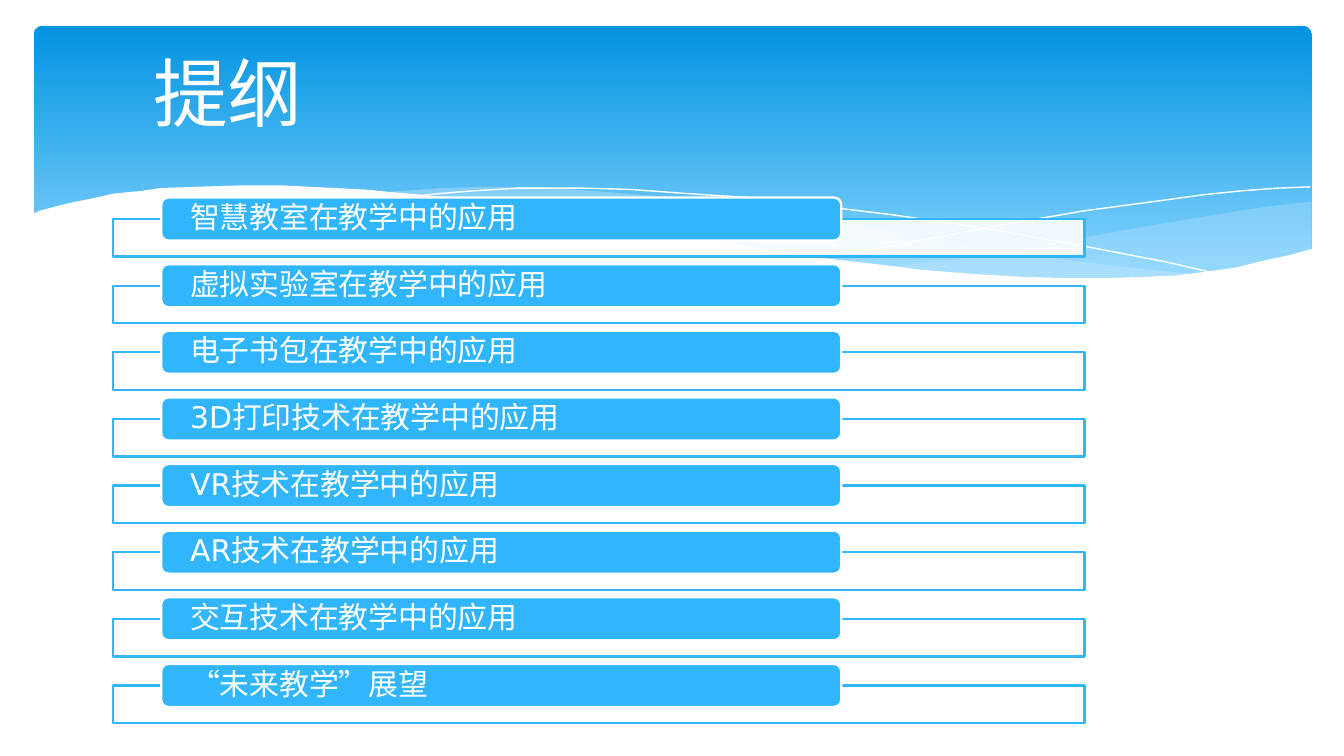
"""Build the outline slide with a wave banner and eight topic bars."""
from lxml.etree import SubElement
from pptx import Presentation
from pptx.dml.color import RGBColor
from pptx.enum.shapes import MSO_SHAPE
from pptx.enum.text import MSO_ANCHOR, PP_ALIGN
from pptx.oxml.ns import qn
from pptx.util import Inches, Pt

TITLE = "提纲"
TOPICS = [
    "智慧教室在教学中的应用",
    "虚拟实验室在教学中的应用",
    "电子书包在教学中的应用",
    "3D打印技术在教学中的应用",
    "VR技术在教学中的应用",
    "AR技术在教学中的应用",
    "交互技术在教学中的应用",
    "“未来教学”展望",
]
WHITE = RGBColor(0xFF, 0xFF, 0xFF)
BLUE = RGBColor(0x31, 0xB6, 0xFD)
DEEP = RGBColor(0x02, 0x93, 0xE0)
LIGHT = RGBColor(0x83, 0xD3, 0xFE)
PALE = RGBColor(0xC6, 0xE7, 0xFC)
LATIN, HAN = "DejaVu Sans", "Noto Sans CJK SC"
WIDE = 10
FIRST, PITCH = 1.47, 3.47 / 7

SWELL = [(9.76, 1.5), (9.48, 1.53), (9.21, 1.57), (8.91, 1.62), (8.61, 1.67),
         (8.05, 1.77), (7.53, 1.86), (7.06, 1.93), (6.61, 1.99), (6.91, 2.02),
         (7.32, 2.05), (7.69, 2.07), (8.03, 2.08), (8.35, 2.08), (8.72, 2.06),
         (9.05, 2.02), (9.35, 1.96), (9.63, 1.89), (9.76, 1.85)]
RIBBON = [(8.93, 2.04), (8.66, 2.02), (8.07, 1.95), (7.41, 1.86), (6.68, 1.73),
          (6.29, 1.66), (5.98, 1.61), (5.69, 1.56), (5.41, 1.52), (5.14, 1.48),
          (4.89, 1.46), (4.41, 1.42), (3.99, 1.39), (3.61, 1.39), (3.28, 1.4),
          (2.86, 1.43), (3.23, 1.47), (3.62, 1.52), (4.04, 1.58), (4.49, 1.66),
          (5.3, 1.8), (5.84, 1.89), (6.34, 1.96), (6.8, 2.01), (7.22, 2.05),
          (7.61, 2.08), (7.96, 2.09), (8.28, 2.09), (8.57, 2.08)]
FALL = [(3.09, 1.46), (3.28, 1.44), (3.53, 1.42), (3.87, 1.4), (4.33, 1.4),
        (4.69, 1.41), (5.1, 1.44), (5.56, 1.47), (6.08, 1.53), (6.65, 1.6),
        (7.27, 1.69), (7.95, 1.81), (8.68, 1.95), (9.07, 2.04)]
RISE = [(6.13, 1.92), (6.52, 1.85), (6.95, 1.77), (7.48, 1.67), (8.06, 1.57),
        (8.66, 1.49), (8.95, 1.45), (9.24, 1.42), (9.51, 1.4), (9.75, 1.39)]
SHORE = [(9.77, 1.85), (9.59, 1.9), (9.4, 1.94), (9.2, 1.99), (8.99, 2.02),
         (8.75, 2.05), (8.5, 2.06), (8.23, 2.07), (7.93, 2.07), (7.61, 2.06),
         (7.26, 2.04), (6.88, 2.01), (6.47, 1.96), (6.03, 1.91), (5.55, 1.83),
         (5.03, 1.75), (4.47, 1.65), (3.91, 1.55), (3.65, 1.51), (3.39, 1.48),
         (3.15, 1.45), (2.92, 1.43), (2.71, 1.41), (2.5, 1.4), (2.3, 1.39),
         (2.11, 1.38), (1.77, 1.38), (1.46, 1.39), (1.19, 1.4), (1.06, 1.42),
         (0.95, 1.43), (0.85, 1.44), (0.67, 1.48), (0.52, 1.51), (0.4, 1.54),
         (0.29, 1.57), (0.23, 1.6), (0.23, 2.47), (9.77, 2.47)]
WAVES = [(SWELL, PALE, 29, None), (RIBBON, PALE, 40, None),
         (FALL, None, 0, WHITE), (RISE, None, 0, WHITE),
         (SHORE, WHITE, 100, None)]


def paint(shape, fill, alpha=100, line=None, width=1.25):
    shape.shadow.inherit = False
    if fill is None:
        shape.fill.background()
    else:
        shape.fill.solid()
        shape.fill.fore_color.rgb = fill
        if alpha < 100:
            tint = shape.fill._xPr.find(".//" + qn("a:srgbClr"))
            SubElement(tint, qn("a:alpha"), val=str(alpha * 1000))
    if line is None:
        shape.line.fill.background()
    else:
        shape.line.color.rgb = line
        shape.line.width = Pt(width)


def block(kind, *box):
    return slide.shapes.add_shape(kind, *map(Inches, box))


def write(shape, text, size, font, left):
    frame = shape.text_frame
    frame.word_wrap = True
    frame.vertical_anchor = MSO_ANCHOR.MIDDLE
    frame.margin_left = Inches(left)
    frame.margin_top = frame.margin_bottom = 0
    frame.text = text
    para = frame.paragraphs[0]
    para.alignment = PP_ALIGN.LEFT
    run = para.runs[0]
    run.font.size = Pt(size)
    run.font.name = font
    run.font.color.rgb = WHITE
    props = run.font._element
    props.set("lang", "zh-CN")
    SubElement(props, qn("a:ea"), typeface=HAN)
    return para


deck = Presentation()
deck.slide_width, deck.slide_height = Inches(WIDE), Inches(WIDE * 9 / 16)
slide = deck.slides.add_slide(deck.slide_layouts[6])

sky = block(MSO_SHAPE.ROUNDED_RECTANGLE, 0.25, 0.19, 9.51, 2.02)
sky.adjustments[0] = 0.034
paint(sky, None)
sky.fill.gradient()
sky.fill.gradient_angle = 270
for stop, (place, color) in zip(sky.fill.gradient_stops, [(0, DEEP), (0.9, LIGHT)]):
    stop.position = place
    stop.color.rgb = color

for points, fill, alpha, line in WAVES:
    start, *rest = [(Inches(x), Inches(y)) for x, y in points]
    pen = slide.shapes.build_freeform(*start)
    pen.add_line_segments(rest, close=fill is not None)
    paint(pen.convert_to_shape(), fill, alpha, line, 0)

title = slide.shapes.add_textbox(*map(Inches, (0.42, 0.29, 9, 0.78)))
write(title, TITLE, 40, HAN, 0.72)

for row, topic in enumerate(TOPICS):
    top = FIRST + row * PITCH
    frame = block(MSO_SHAPE.RECTANGLE, 0.84, top + 0.16, 7.23, 0.28)
    paint(frame, WHITE, 90, BLUE)
    bar = block(MSO_SHAPE.ROUNDED_RECTANGLE, 1.2, top, 5.06, 0.32)
    paint(bar, BLUE, line=WHITE)
    write(bar, topic, 16, LATIN, 0.2).line_spacing = 0.9

deck.save("out.pptx")
